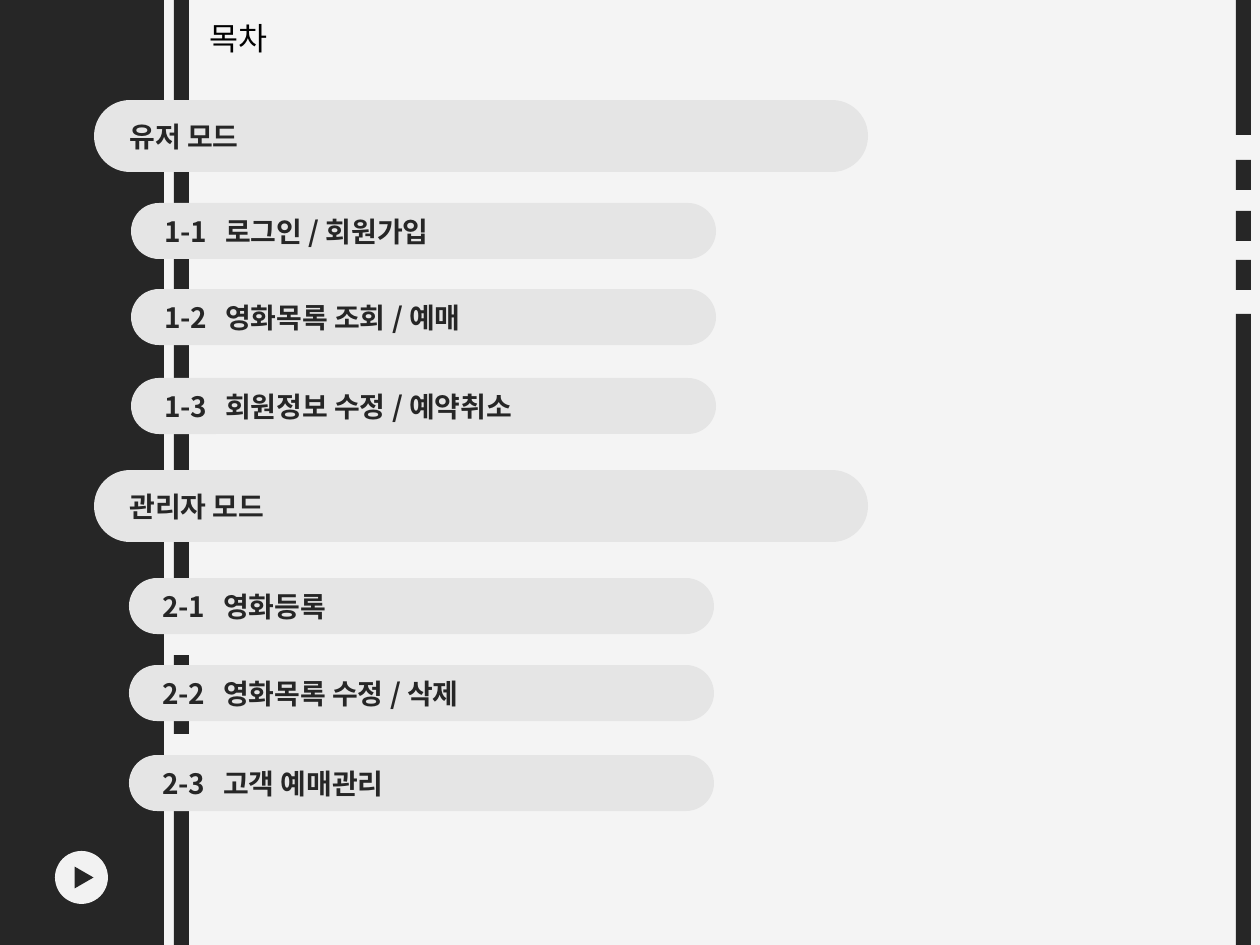
"""Build the table-of-contents slide for a cinema booking project."""
import pptx
import pptx.dml.color
import pptx.enum.shapes
import pptx.enum.text
import pptx.oxml.ns
import pptx.util
from lxml import etree

RGBColor = pptx.dml.color.RGBColor
SHAPE = pptx.enum.shapes.MSO_SHAPE
qn = pptx.oxml.ns.qn

DARK = RGBColor(0x26, 0x26, 0x26)
LIGHT = RGBColor(0xF2, 0xF2, 0xF2)
BACKGROUND = RGBColor(0xF4, 0xF4, 0xF4)
PILL = RGBColor(0xE5, 0xE5, 0xE5)
BLACK = RGBColor(0, 0, 0)
FONT = "Noto Sans CJK KR"
PX_PER_INCH = 126
WIDTH, HEIGHT = 1260, 945
STRIP_WIDTH = 15
STRIP_SEGMENTS = [(0, 631), (655, 30), (704, 30), (755, 30), (810, 135)]
SECTIONS = [
    ("유저 모드", 100, 131, [
        (203, "1-1\t로그인 / 회원가입"),
        (289, "1-2\t영화목록 조회 / 예매"),
        (378, "1-3\t회원정보 수정 / 예약취소"),
    ]),
    ("관리자 모드", 470, 129, [
        (578, "2-1\t영화등록"),
        (665, "2-2\t영화목록 수정 / 삭제"),
        (755, "2-3\t고객 예매관리"),
    ]),
]


def px(n):
    return pptx.util.Emu(round(n * 914400 / PX_PER_INCH))


def add_shape(shapes, kind, x, y, w, h, color):
    sp = shapes.add_shape(kind, px(x), px(y), px(w), px(h))
    sp.shadow.inherit = False
    sp.fill.solid()
    sp.fill.fore_color.rgb = color
    sp.line.fill.background()
    return sp


def set_font(p, size, color, bold=False):
    p.font.size = pptx.util.Pt(size)
    p.font.bold = bold
    p.font.color.rgb = color
    p.font.name = FONT
    props = p._p.pPr.find(qn("a:defRPr"))
    etree.SubElement(props, qn("a:ea"), typeface=FONT)


def add_tab_stop(p, position):
    tabs = etree.SubElement(p._p.get_or_add_pPr(), qn("a:tabLst"))
    etree.SubElement(tabs, qn("a:tab"), pos=str(px(position)), algn="l")


def add_strip(s, x, flipped=False):
    group = s.shapes.add_group_shape()
    for top, h in STRIP_SEGMENTS:
        y = HEIGHT - top - h if flipped else top
        add_shape(group.shapes, SHAPE.RECTANGLE, x, y, STRIP_WIDTH, h, DARK)


def add_pill(s, text, x, y, w, h):
    sp = add_shape(s.shapes, SHAPE.ROUNDED_RECTANGLE, x, y, w, h, PILL)
    sp.adjustments[0] = 0.5
    tf = sp.text_frame
    tf.word_wrap = True
    tf.margin_left = px(25)
    tf.vertical_anchor = pptx.enum.text.MSO_ANCHOR.MIDDLE
    p = tf.paragraphs[0]
    p.text = text
    p.alignment = pptx.enum.text.PP_ALIGN.LEFT
    if "\t" in text:
        add_tab_stop(p, 61)
    set_font(p, 16, DARK, bold=True)


def add_play_button(s):
    group = s.shapes.add_group_shape()
    add_shape(group.shapes, SHAPE.OVAL, 55, 851, 53, 53, LIGHT)
    arrow = add_shape(group.shapes, SHAPE.ISOSCELES_TRIANGLE, 73, 868, 22, 19, DARK)
    arrow.rotation = 90


def add_title(s, text):
    tf = s.shapes.add_textbox(px(197), px(13), px(89), px(50)).text_frame
    tf.word_wrap = False
    p = tf.paragraphs[0]
    p.text = text
    set_font(p, 18, BLACK)


def main():
    prs = pptx.Presentation()
    prs.slide_width, prs.slide_height = px(WIDTH), px(HEIGHT)
    s = prs.slides.add_slide(prs.slide_layouts[6])
    s.background.fill.solid()
    s.background.fill.fore_color.rgb = BACKGROUND
    add_shape(s.shapes, SHAPE.RECTANGLE, 0, 0, 164, HEIGHT, DARK)
    add_strip(s, 174)
    add_strip(s, 1236, flipped=True)
    add_play_button(s)
    for heading, top, item_left, items in SECTIONS:
        add_pill(s, heading, 94, top, 774, 72)
        for y, text in items:
            add_pill(s, text, item_left, y, 585, 56)
    add_title(s, "목차")
    prs.save("out.pptx")


if __name__ == "__main__":
    main()
